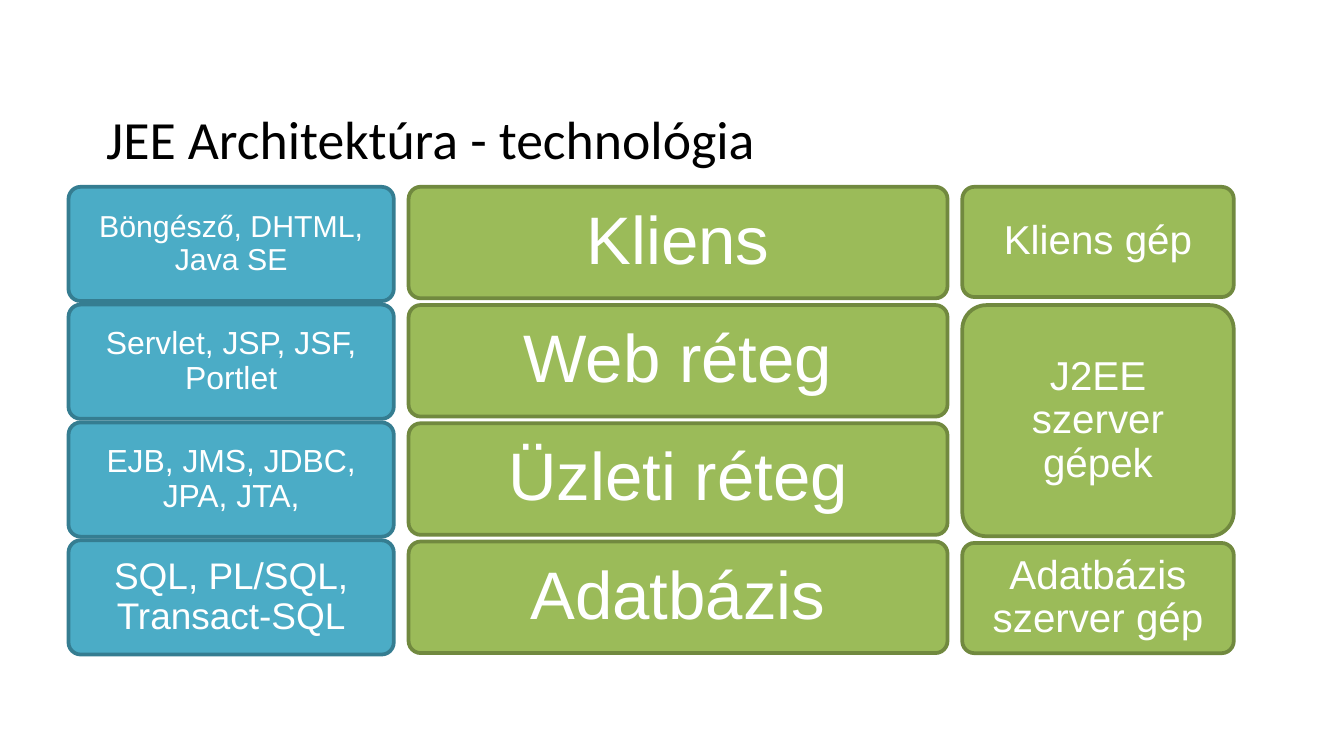
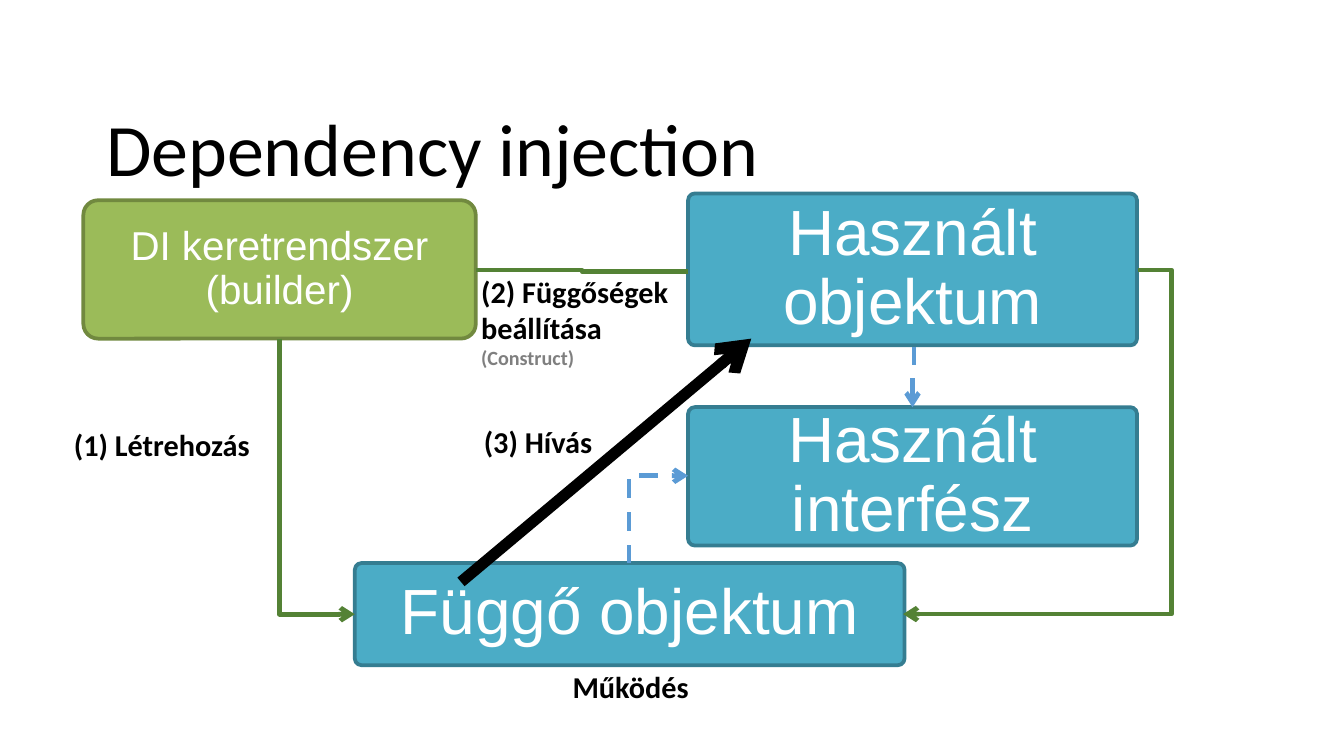
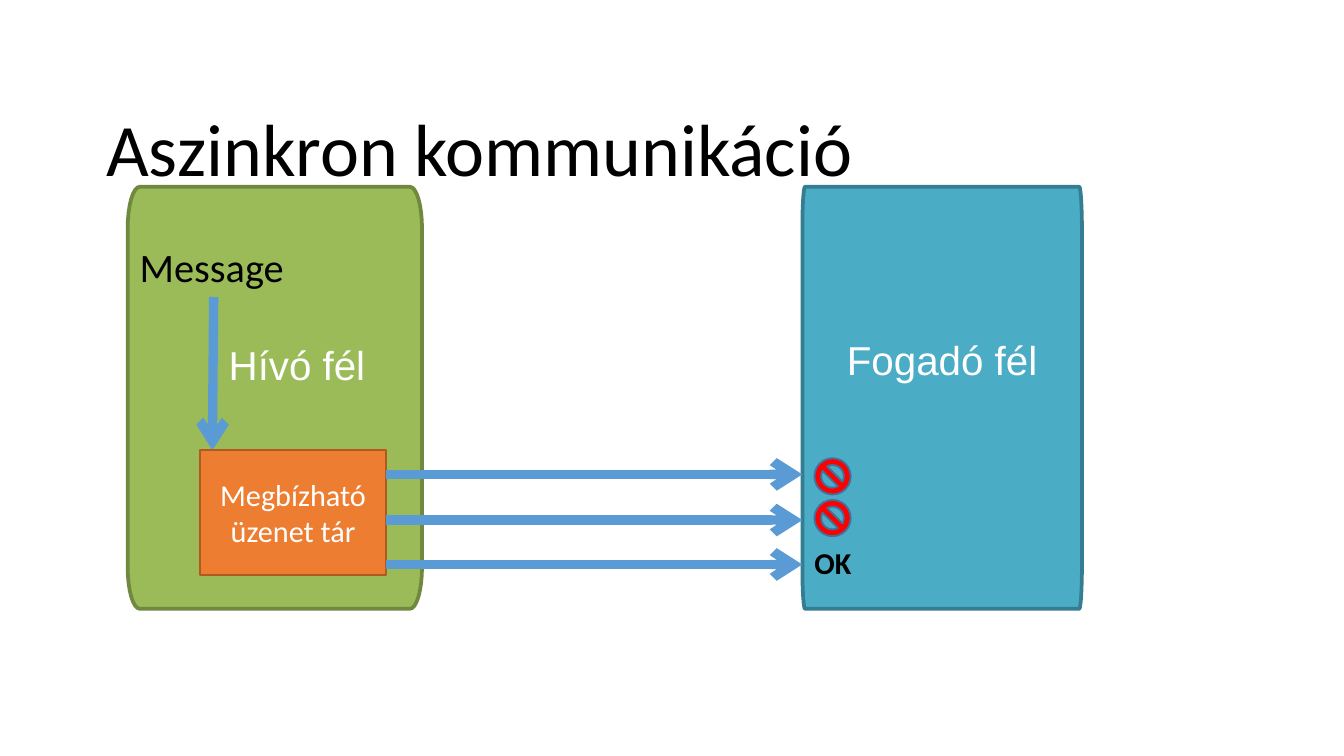
from math import cos, radians, sin

from lxml.etree import SubElement
from pptx import Presentation
from pptx.dml.color import RGBColor
from pptx.enum.dml import MSO_LINE
from pptx.enum.shapes import MSO_CONNECTOR, MSO_SHAPE
from pptx.enum.text import MSO_ANCHOR, MSO_AUTO_SIZE, PP_ALIGN
from pptx.oxml.ns import qn
from pptx.util import Inches, Pt

BLACK, WHITE, GRAY = "000000", "FFFFFF", "7F7F7F"
GREEN = ("9BBB59", "71893F")
TEAL = ("4BACC6", "357D91")
ORANGE = ("ED7D31", "AE5A21")
RED = ("FF0000", "41719C")
ARROW_BLUE, ARROW_GREEN = "5B9BD5", "548235"


def rgb(value):
    return RGBColor.from_string(value)


def set_font(p, size, color, name="Calibri", bold=False):
    p.font.size = Pt(size)
    p.font.name = name
    p.font.bold = bold
    p.font.color.rgb = rgb(color)


def set_margins(tf, left, top, right, bottom):
    tf.margin_left, tf.margin_top = Inches(left), Inches(top)
    tf.margin_right, tf.margin_bottom = Inches(right), Inches(bottom)


def add_slide(prs, title, size):
    s = prs.slides.add_slide(prs.slide_layouts[5])
    sp = s.shapes.title
    sp.left, sp.top = Inches(0.69), Inches(0.3)
    sp.width, sp.height = Inches(8.62), Inches(1.09)
    tf = sp.text_frame
    tf.text = title
    tf.auto_size = MSO_AUTO_SIZE.NONE
    tf.vertical_anchor = MSO_ANCHOR.TOP
    set_margins(tf, 0.1, 0.54, 0.1, 0)
    p = tf.paragraphs[0]
    p.alignment = PP_ALIGN.LEFT
    p.line_spacing = 0.9
    set_font(p, size, BLACK)
    return s


def style_shape(sp, colors, width):
    sp.shadow.inherit = False
    sp.fill.solid()
    sp.fill.fore_color.rgb = rgb(colors[0])
    sp.line.color.rgb = rgb(colors[1])
    sp.line.width = Pt(width)


def fill_text(sp, text, size, margins, name="Arial", spacing=0.9):
    tf = sp.text_frame
    tf.text = text
    tf.word_wrap = True
    tf.vertical_anchor = MSO_ANCHOR.MIDDLE
    set_margins(tf, *margins)
    p = tf.paragraphs[0]
    p.alignment = PP_ALIGN.CENTER
    p.line_spacing = spacing
    set_font(p, size, WHITE, name)


def add_shape(s, kind, x, y, w, h, colors, width):
    sp = s.shapes.add_shape(kind, Inches(x), Inches(y), Inches(w), Inches(h))
    style_shape(sp, colors, width)
    return sp


def add_box(s, x, y, w, h, text, size, colors, radius=0.09, inset=0.12):
    sp = add_shape(s, MSO_SHAPE.ROUNDED_RECTANGLE, x, y, w, h, colors, 2)
    sp.adjustments[0] = radius / min(w, h)
    fill_text(sp, text, size, [inset] * 4)


def add_panel(s, x, y, w, h, rx, ry, text, colors, margins):
    corners = ((x + w - rx, y + ry), (x + w - rx, y + h - ry),
               (x + rx, y + h - ry), (x + rx, y + ry))
    points = []
    for i, (cx, cy) in enumerate(corners):
        for step in range(9):
            angle = radians(90 * (i - 1) + 11.25 * step)
            points.append((Inches(cx + rx * cos(angle)), Inches(cy + ry * sin(angle))))
    builder = s.shapes.build_freeform(*points[0])
    builder.add_line_segments(points[1:], close=True)
    sp = builder.convert_to_shape()
    style_shape(sp, colors, 2)
    fill_text(sp, text, 21.6, margins)


def add_label(s, x, y, w, h, text, size=16.2, bold=True, wrap=True):
    tf = s.shapes.add_textbox(Inches(x), Inches(y), Inches(w), Inches(h)).text_frame
    tf.text = text
    tf.word_wrap = wrap
    set_margins(tf, 0.09, 0.04, 0.09, 0.04)
    set_font(tf.paragraphs[0], size, BLACK, bold=bold)
    return tf


def add_line(s, start, end, color, width, kind=MSO_CONNECTOR.STRAIGHT, head=True, dashed=False):
    cn = s.shapes.add_connector(kind, *[Inches(v) for v in (*start, *end)])
    cn.line.color.rgb = rgb(color)
    cn.line.width = Pt(width)
    if dashed:
        cn.line.dash_style = MSO_LINE.DASH
    sp_pr = cn._element.spPr
    if head:
        SubElement(sp_pr.find(qn("a:ln")), qn("a:tailEnd"), type="arrow")
    SubElement(sp_pr, qn("a:effectLst"))
    return cn


def add_elbow(s, start, end, color, bend=None, **options):
    cn = add_line(s, start, end, color, 2.5, MSO_CONNECTOR.ELBOW, **options)
    if bend is not None:
        guides = cn._element.spPr.find(qn("a:prstGeom")).find(qn("a:avLst"))
        SubElement(guides, qn("a:gd"), name="adj1", fmla=f"val {round(bend * 100000)}")


def add_vertical_elbow(s, start, end, color, corner=True, **options):
    (x1, y1), (x2, y2) = start, end
    cx, cy = (x1 + x2) / 2, (y1 + y2) / 2
    dx, dy = (x2 - x1) / 2, (y2 - y1) / 2
    cn = add_line(s, (cx + dy, cy - dx), (cx - dy, cy + dx), color, 2.5,
                  MSO_CONNECTOR.ELBOW, **options)
    sp_pr = cn._element.spPr
    sp_pr.find(qn("a:xfrm")).set("rot", str(270 * 60000))
    if corner:
        sp_pr.find(qn("a:prstGeom")).set("prst", "bentConnector2")


def build_architecture(prs):
    s = add_slide(prs, "JEE Architektúra - technológia", 28.8)
    top, tier_span, technology_span = 1.39, 2.64, 2.63
    tiers = ("Kliens", "Web réteg", "Üzleti réteg", "Adatbázis")
    technologies = (("Böngésző, DHTML, Java SE", 16.2), ("Servlet, JSP, JSF, Portlet", 17.1),
                    ("EJB, JMS, JDBC, JPA, JTA,", 17.1), ("SQL, PL/SQL, Transact-SQL", 19.8))
    machines = ((1.39, 0.82, "Kliens gép", 0.09), (2.27, 1.72, "J2EE szerver gépek", 0.18),
                (4.04, 0.82, "Adatbázis szerver gép", 0.09))
    for i, tier in enumerate(tiers):
        add_box(s, 3.04, top + i * tier_span / 3, 4.01, 0.83, tier, 36, GREEN, inset=0.18)
    for y, h, machine, radius in machines:
        add_box(s, 7.16, y, 2.02, h, machine, 21.6, GREEN, radius)
    for i, (technology, size) in enumerate(technologies):
        add_box(s, 0.51, top + i * technology_span / 3, 2.42, 0.85, technology, size, TEAL,
                inset=0.1)


def build_injection(prs):
    s = add_slide(prs, "Dependency injection", 39.6)
    for x, y, w, h, text in ((2.64, 4.19, 4.09, 0.76, "Függő objektum"),
                             (5.12, 1.44, 3.34, 1.13, "Használt\vobjektum"),
                             (5.12, 3.03, 3.34, 1.03, "Használt\vinterfész")):
        add_box(s, x, y, w, h, text, 34.2, TEAL, 0.05, 0.17)
    add_box(s, 0.62, 1.49, 2.92, 1.03, "DI keretrendszer\v(builder)", 21.6, GREEN, 0.11)

    add_vertical_elbow(s, (4.68, 4.19), (5.12, 3.54), ARROW_BLUE, dashed=True)
    add_elbow(s, (8.47, 2.01), (6.72, 4.57), ARROW_GREEN, bend=-0.14)
    add_elbow(s, (3.54, 2.01), (5.12, 2.02), ARROW_GREEN, head=False)
    add_vertical_elbow(s, (2.08, 2.52), (2.64, 4.57), ARROW_GREEN)
    add_vertical_elbow(s, (6.8, 2.58), (6.79, 3.03), ARROW_BLUE, corner=False, dashed=True)

    add_label(s, 0.46, 3.13, 1.62, 0.33, "(1) Létrehozás")
    tf = add_label(s, 3.49, 1.99, 1.77, 0.73, "(2) Függőségek beállítása")
    p = tf.add_paragraph()
    p.text = "(Construct)"
    set_font(p, 10.8, GRAY, bold=True)
    add_line(s, (3.43, 4.33), (5.59, 2.52), BLACK, 6)
    add_label(s, 3.51, 3.11, 1.1, 0.33, "(3) Hívás")
    add_label(s, 4.17, 4.93, 1.15, 0.33, "Működés")


def build_messaging(prs):
    s = add_slide(prs, "Aszinkron kommunikáció", 39.6)
    add_panel(s, 0.95, 1.39, 2.19, 3.14, 0.09, 0.31, "Hívó fél", GREEN, (0.45, 0.12, 0.12, 0.57))
    add_panel(s, 5.97, 1.39, 2.08, 3.14, 0.02, 0.31, "Fogadó fél", TEAL, (0.17, 0.17, 0.17, 0.7))
    add_line(s, (1.59, 2.21), (1.58, 3.35), ARROW_BLUE, 5)
    add_label(s, 0.95, 1.76, 1.27, 0.45, "Message", 21.6, bold=False, wrap=False)
    store = add_shape(s, MSO_SHAPE.RECTANGLE, 1.49, 3.35, 1.38, 0.93, ORANGE, 1)
    fill_text(store, "Megbízható üzenet tár", 16.2, (0.09, 0.04, 0.09, 0.04), "Calibri", 1.0)
    for y in (3.53, 3.87, 4.2):
        add_line(s, (2.87, y), (5.97, y), ARROW_BLUE, 5)
    for y in (3.41, 3.72):
        add_shape(s, MSO_SHAPE.NO_SYMBOL, 6.06, y, 0.27, 0.27, RED, 1)
    add_label(s, 5.97, 4.01, 0.47, 0.36, "OK")


def main():
    prs = Presentation()
    prs.slide_width = Inches(10)
    prs.slide_height = prs.slide_width * 9 // 16
    build_architecture(prs)
    build_injection(prs)
    build_messaging(prs)
    prs.save("out.pptx")


if __name__ == "__main__":
    main()
